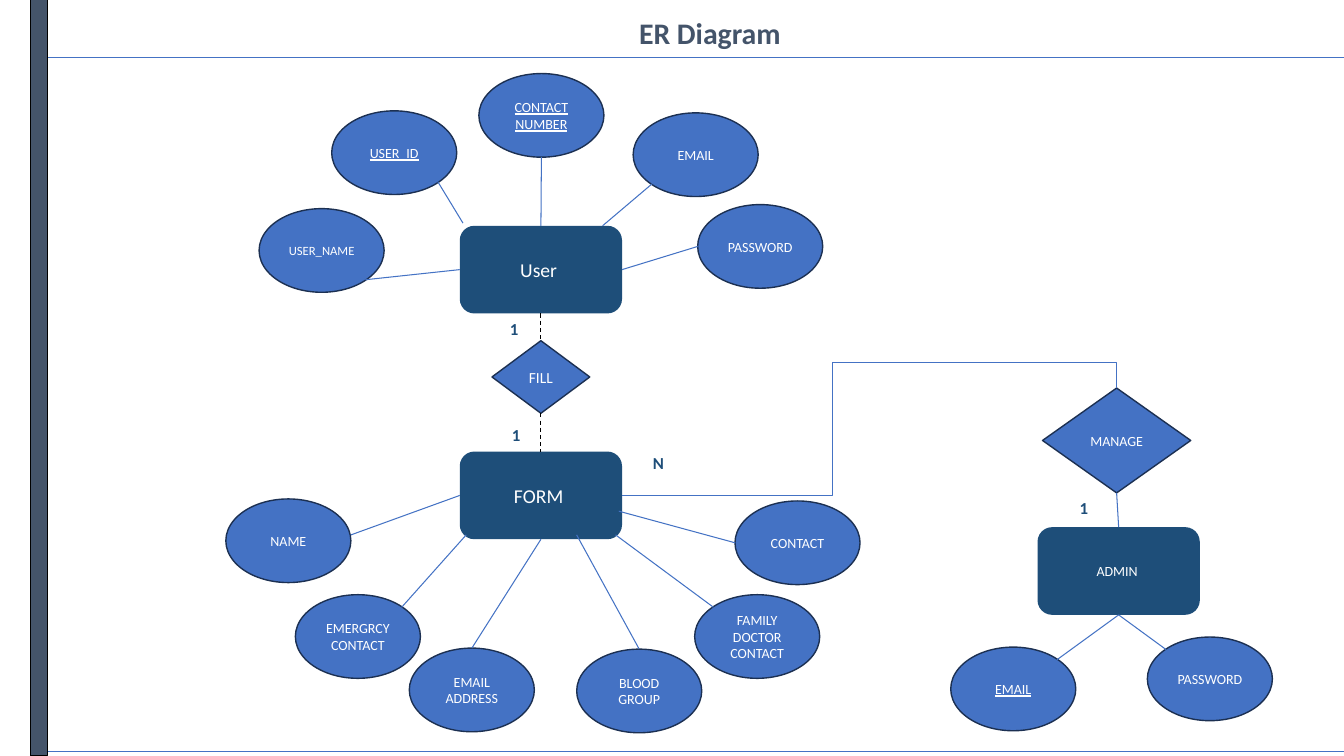
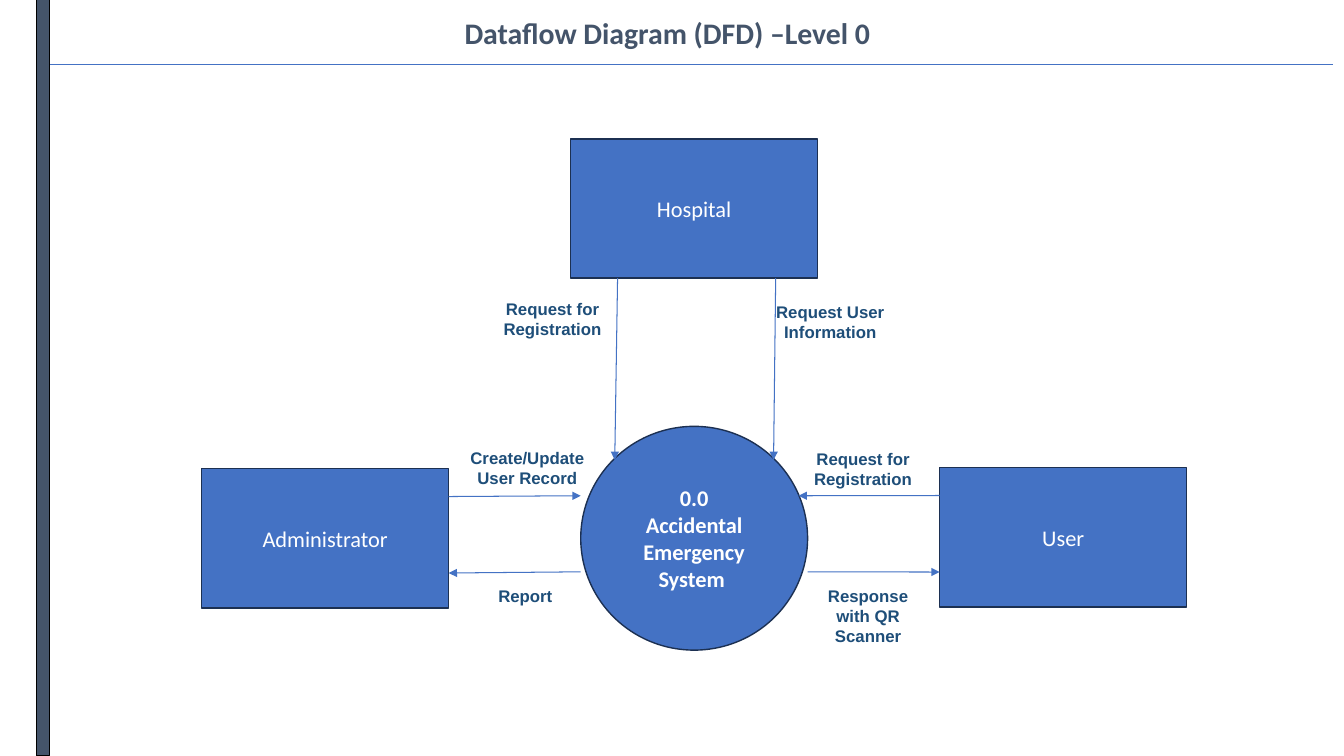
from dataclasses import dataclass

from lxml import etree
from pptx import Presentation
from pptx.dml.color import RGBColor
from pptx.enum.dml import MSO_LINE
from pptx.enum.shapes import MSO_CONNECTOR, MSO_SHAPE
from pptx.enum.text import MSO_ANCHOR, PP_ALIGN
from pptx.oxml.ns import qn
from pptx.util import Inches, Pt

ENTITY = MSO_SHAPE.FLOWCHART_ALTERNATE_PROCESS
ATTRIBUTE = MSO_SHAPE.FLOWCHART_CONNECTOR
RELATION = MSO_SHAPE.FLOWCHART_DECISION
PROCESS = MSO_SHAPE.FLOWCHART_PROCESS
STRAIGHT = MSO_CONNECTOR.STRAIGHT
ELBOW = MSO_CONNECTOR.ELBOW
DASH = MSO_LINE.DASH
CENTER = PP_ALIGN.CENTER
MIDDLE = MSO_ANCHOR.MIDDLE

# Places on a node, as fractions of its width and height
TOP, LEFT, BOTTOM, RIGHT = (0.5, 0), (0, 0.5), (0.5, 1), (1, 0.5)
TOP_LEFT, TOP_RIGHT = (0.15, 0.15), (0.85, 0.15)
BOTTOM_LEFT, BOTTOM_RIGHT = (0.15, 0.85), (0.85, 0.85)
SIDE_INDEX = {TOP: 0, LEFT: 1, BOTTOM: 2, RIGHT: 3}


@dataclass(frozen=True)
class Theme:
    slate: RGBColor = RGBColor(0x44, 0x54, 0x6A)
    blue: RGBColor = RGBColor(0x44, 0x72, 0xC4)
    navy: RGBColor = RGBColor(0x1E, 0x4E, 0x79)
    outline: RGBColor = RGBColor(0x1C, 0x30, 0x52)
    black: RGBColor = RGBColor(0, 0, 0)
    white: RGBColor = RGBColor(0xFF, 0xFF, 0xFF)
    font: str = "Calibri"
    flow_font: str = "Arial"
    title_size: float = 21.3
    process_size: float = 16
    entity_size: float = 14
    label_size: float = 12
    relation_size: float = 11
    attribute_size: float = 10
    small_size: float = 9


THEME = Theme()


@dataclass(frozen=True)
class Node:
    key: str
    text: str
    kind: MSO_SHAPE
    left: float
    top: float
    width: float = 1.24
    height: float = 0.83
    size: float = THEME.attribute_size
    bold: bool = False
    underline: bool = False

    def point(self, place: tuple) -> tuple:
        return (Inches(self.left + place[0] * self.width),
                Inches(self.top + place[1] * self.height))


@dataclass(frozen=True)
class Link:
    start: str
    start_place: tuple
    end: str
    end_place: tuple
    dashed: bool = False
    arrow: bool = False


@dataclass(frozen=True)
class Label:
    text: str
    left: float
    top: float
    width: float = 1.28
    height: float = 0.5
    font: str = THEME.flow_font


@dataclass(frozen=True)
class Frame:
    title: str
    title_left: float
    bar_left: float
    bar_width: float
    rules: tuple  # (left, right, height on the page)


def entity(key: str, text: str, left: float, top: float,
           size: float = THEME.entity_size) -> Node:
    return Node(key, text, ENTITY, left, top, 1.61, 0.87, size)


def attribute(key: str, text: str, left: float, top: float, **options) -> Node:
    return Node(key, text, ATTRIBUTE, left, top, **options)


def process(text: str, left: float, top: float) -> Node:
    return Node(text, text, PROCESS, left, top, 2.45, 1.38, THEME.process_size)


ER_FRAME = Frame("ER Diagram", 4.04, 0.3, 0.17,
                 ((0.3, 13.33, 7.46), (0.4, 13.33, 0.57)))
ER_NODES = (
    entity("user", "User ", 4.56, 2.24),
    entity("form", "FORM ", 4.56, 4.48),
    entity("admin", "ADMIN ", 10.29, 5.23, THEME.attribute_size),
    attribute("user name", "USER_NAME", 2.57, 2.07, size=THEME.small_size),
    attribute("user id", "USER_ID", 3.29, 1.1, underline=True),
    attribute("number", "CONTACT NUMBER", 4.75, 0.73, underline=True),
    attribute("user email", "EMAIL", 6.28, 1.12),
    attribute("user password", "PASSWORD", 6.92, 2.03),
    attribute("emergency", "EMERGRCY CONTACT", 2.93, 5.9),
    attribute("name", "NAME", 2.24, 4.95),
    attribute("address", "EMAIL ADDRESS", 4.06, 6.43),
    attribute("doctor", "FAMILY DOCTOR CONTACT", 6.89, 5.9),
    attribute("blood", "BLOOD GROUP", 5.72, 6.44),
    attribute("contact", "CONTACT", 7.29, 4.97),
    attribute("admin email", "EMAIL", 9.43, 6.42, underline=True),
    attribute("admin password", "PASSWORD", 11.38, 6.32),
    Node("fill", "FILL", RELATION, 4.88, 3.38, 0.97, 0.72, THEME.relation_size),
    Node("manage", "MANAGE", RELATION, 10.34, 3.85, 1.47, 1.04),
)
ER_LINKS = (
    Link("user", BOTTOM, "fill", TOP, dashed=True),
    Link("fill", BOTTOM, "form", TOP, dashed=True),
    Link("user name", BOTTOM_RIGHT, "user", LEFT),
    Link("user id", BOTTOM_RIGHT, "user", (0.02, -0.03)),
    Link("number", BOTTOM, "user", TOP),
    Link("user email", BOTTOM_LEFT, "user", (0.88, 0)),
    Link("user password", LEFT, "user", RIGHT),
    Link("form", LEFT, "name", (1, 0.43)),
    Link("form", (0.04, 0.95), "emergency", TOP_RIGHT),
    Link("form", BOTTOM, "address", TOP),
    Link("form", (0.72, 0.95), "blood", TOP),
    Link("form", (0.96, 0.95), "doctor", TOP_LEFT),
    Link("form", (0.98, 0.68), "contact", LEFT),
    Link("manage", BOTTOM, "admin", TOP),
    Link("admin", BOTTOM, "admin password", TOP_LEFT),
    Link("admin", BOTTOM, "admin email", TOP_RIGHT),
)
ER_LABELS = tuple(
    Label(text, left, top, height=0.44, font=THEME.font)
    for text, left, top in (("1", 4.48, 4.16), ("N", 5.89, 4.44),
                            ("1", 4.46, 3.11), ("1", 10.11, 4.89)))

FLOW_FRAME = Frame("Dataflow Diagram (DFD) –Level 0", 3.62, 0.36, 0.13,
                   ((0.36, 13.22, 0.64),))
FLOW_NODES = (
    Node("system", "0.0\nAccidental Emergency System ", ATTRIBUTE,
         5.76, 4.23, 2.25, 2.22, THEME.process_size, bold=True),
    process("Administrator", 2, 4.65),
    process("User", 9.32, 4.64),
    process("Hospital", 5.66, 1.38),
)
FLOW_LINKS = tuple(
    Link(*ends, arrow=True) for ends in (
        ("Administrator", (1, 0.2), "system", (0, 0.31)),
        ("system", (1, 0.65), "User", (0, 0.75)),
        ("system", (0, 0.65), "Administrator", (1, 0.75)),
        ("User", (0, 0.2), "system", (0.96, 0.31)),
        ("Hospital", (0.19, 1), "system", TOP_LEFT),
        ("Hospital", (0.83, 1), "system", TOP_RIGHT)))
FLOW_LABELS = (
    Label("Create/Update User Record", 4.49, 4.39, 1.48),
    Label("Report", 4.57, 5.76, height=0.3),
    Label("Request for Registration", 7.92, 4.4),
    Label("Response with QR Scanner", 7.97, 5.76),
    Label("Request for Registration", 4.84, 2.91),
    Label("Request User Information", 7.47, 2.94, 1.53),
)


def write(box, text: str, size: float, color: RGBColor, font: str = THEME.font,
          bold: bool = False, underline: bool = False) -> None:
    box.text_frame.text = text
    box.text_frame.word_wrap = True
    for para in box.text_frame.paragraphs:
        para.alignment = CENTER
        for span in para.runs:
            span.font.name = font
            span.font.size = Pt(size)
            span.font.bold = bold
            span.font.underline = underline
            span.font.color.rgb = color


def add_line(page, start: tuple, end: tuple, color: RGBColor = THEME.blue,
             width: float = 0.75, kind: MSO_CONNECTOR = STRAIGHT):
    line = page.shapes.add_connector(kind, *start, *end)
    line.line.color.rgb = color
    line.line.width = Pt(width)
    etree.SubElement(line._element.spPr, qn("a:effectLst"))
    return line


def add_frame(page, frame: Frame) -> None:
    """Draw the title, the rules across the page and the side bar."""
    for left, right, height in frame.rules:
        add_line(page, (Inches(left), Inches(height)),
                 (Inches(right), Inches(height)))
    bar = page.shapes.add_shape(MSO_SHAPE.RECTANGLE, Inches(frame.bar_left), 0,
                                Inches(frame.bar_width), Inches(7.5))
    bar.shadow.inherit = False
    bar.fill.solid()
    bar.fill.fore_color.rgb = THEME.slate
    bar.line.color.rgb = THEME.black
    bar.line.width = Pt(0.75)
    title = page.shapes.title
    title.left, title.top = Inches(frame.title_left), Inches(0.12)
    title.width, title.height = Inches(6), Inches(0.46)
    write(title, frame.title, THEME.title_size, THEME.slate, bold=True)
    title.text_frame.vertical_anchor = MIDDLE
    title.text_frame.paragraphs[0].line_spacing = 0.9


def add_node(page, node: Node):
    shape = page.shapes.add_shape(node.kind, Inches(node.left), Inches(node.top),
                                  Inches(node.width), Inches(node.height))
    shape.shadow.inherit = False
    shape.fill.solid()
    if node.kind == ENTITY:
        shape.fill.fore_color.rgb = THEME.navy
        shape.line.fill.background()
    else:
        shape.fill.fore_color.rgb = THEME.blue
        shape.line.color.rgb = THEME.outline
        shape.line.width = Pt(1)
    write(shape, node.text, node.size, THEME.white,
          bold=node.bold, underline=node.underline)
    shape.text_frame.vertical_anchor = MIDDLE
    return shape


def can_join(node: Node, place: tuple) -> bool:
    """Ellipses number their sites differently, apart from the top one."""
    return place in SIDE_INDEX and (node.kind != ATTRIBUTE or place == TOP)


def add_link(page, link: Link, nodes: dict, shapes: dict) -> None:
    start, end = nodes[link.start], nodes[link.end]
    line = add_line(page, start.point(link.start_place), end.point(link.end_place),
                    THEME.black if link.dashed else THEME.blue)
    if link.dashed:
        line.line.dash_style = DASH
    if link.arrow:
        etree.SubElement(line.line._get_or_add_ln(), qn("a:tailEnd"), type="triangle")
    if can_join(start, link.start_place):
        line.begin_connect(shapes[link.start], SIDE_INDEX[link.start_place])
    if can_join(end, link.end_place):
        line.end_connect(shapes[link.end], SIDE_INDEX[link.end_place])


def add_manage_path(page, nodes: dict, shapes: dict) -> None:
    """Lead from the form's right side up and over to the manage diamond."""
    path_line = add_line(page, nodes["form"].point(RIGHT), nodes["manage"].point(TOP),
                         width=0.5, kind=ELBOW)
    path_line.begin_connect(shapes["form"], SIDE_INDEX[RIGHT])
    path_line.end_connect(shapes["manage"], SIDE_INDEX[TOP])
    geometry = path_line._element.spPr.find(qn("a:prstGeom"))
    geometry.set("prst", "bentConnector4")
    guides = geometry.find(qn("a:avLst"))
    for name, value in (("adj1", 42500), ("adj2", 123500)):
        etree.SubElement(guides, qn("a:gd"), name=name, fmla=f"val {value}")


def add_label(page, label: Label) -> None:
    box = page.shapes.add_textbox(Inches(label.left), Inches(label.top),
                                  Inches(label.width), Inches(label.height))
    write(box, label.text, THEME.label_size, THEME.navy, label.font, bold=True)


def add_diagram(deck, frame: Frame, node_list: tuple, links: tuple, labels: tuple):
    page = deck.slides.add_slide(deck.slide_layouts[5])
    add_frame(page, frame)
    nodes = {node.key: node for node in node_list}
    shapes = {node.key: add_node(page, node) for node in node_list}
    for link in links:
        add_link(page, link, nodes, shapes)
    for label in labels:
        add_label(page, label)
    return page, nodes, shapes


def main() -> None:
    deck = Presentation()
    deck.slide_width, deck.slide_height = Inches(13.33), Inches(7.5)
    add_manage_path(*add_diagram(deck, ER_FRAME, ER_NODES, ER_LINKS, ER_LABELS))
    add_diagram(deck, FLOW_FRAME, FLOW_NODES, FLOW_LINKS, FLOW_LABELS)
    deck.save("out.pptx")


if __name__ == "__main__":
    main()
